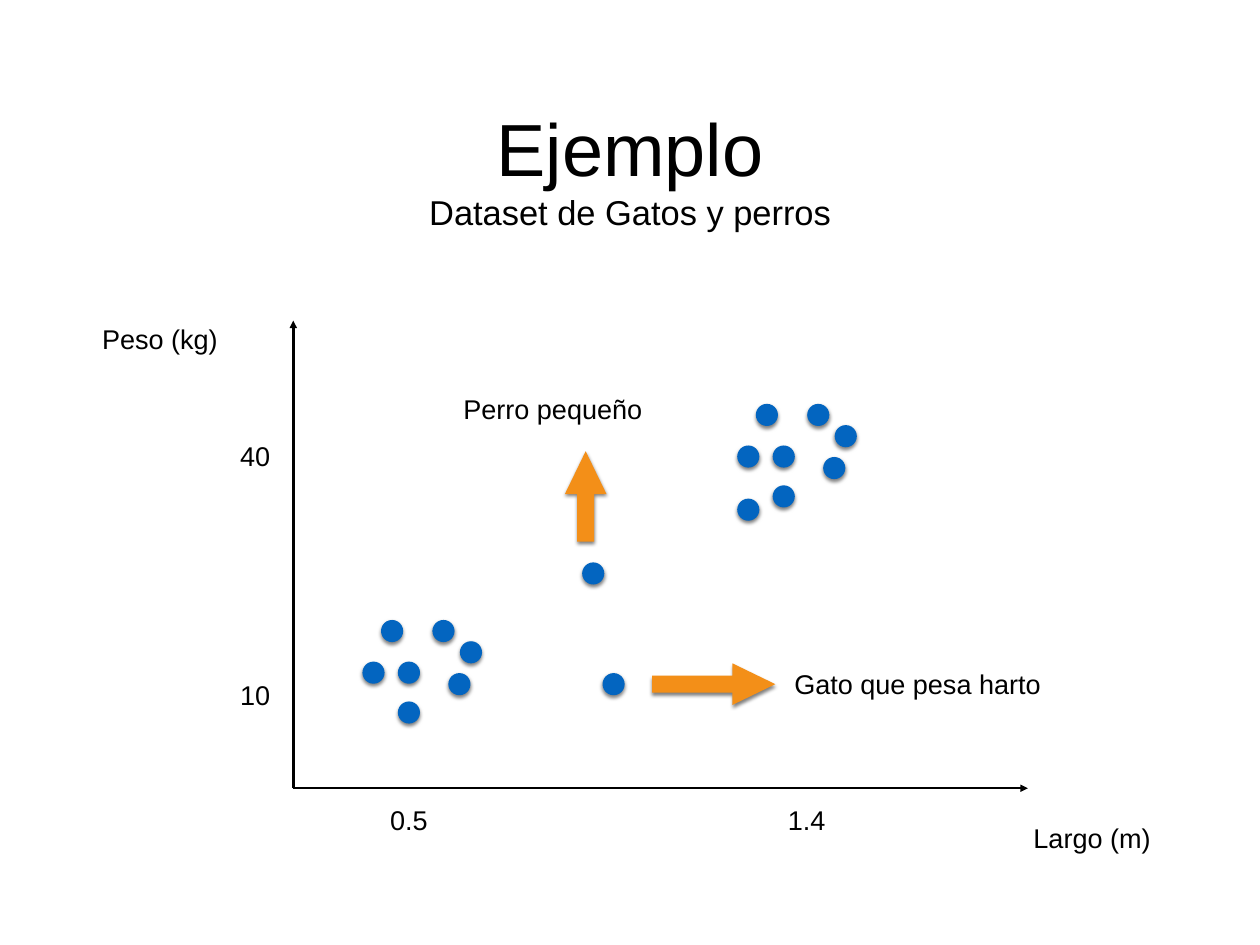
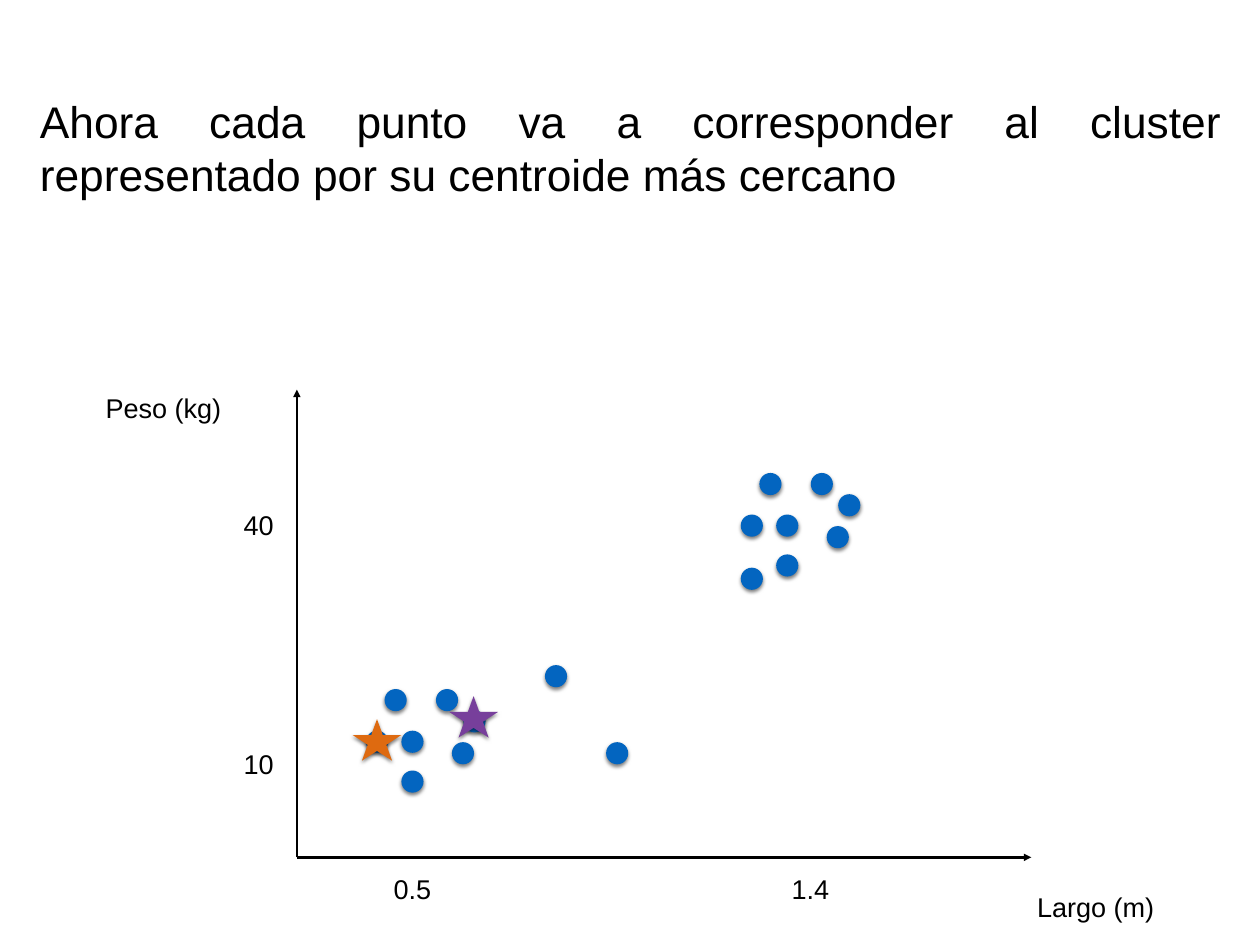
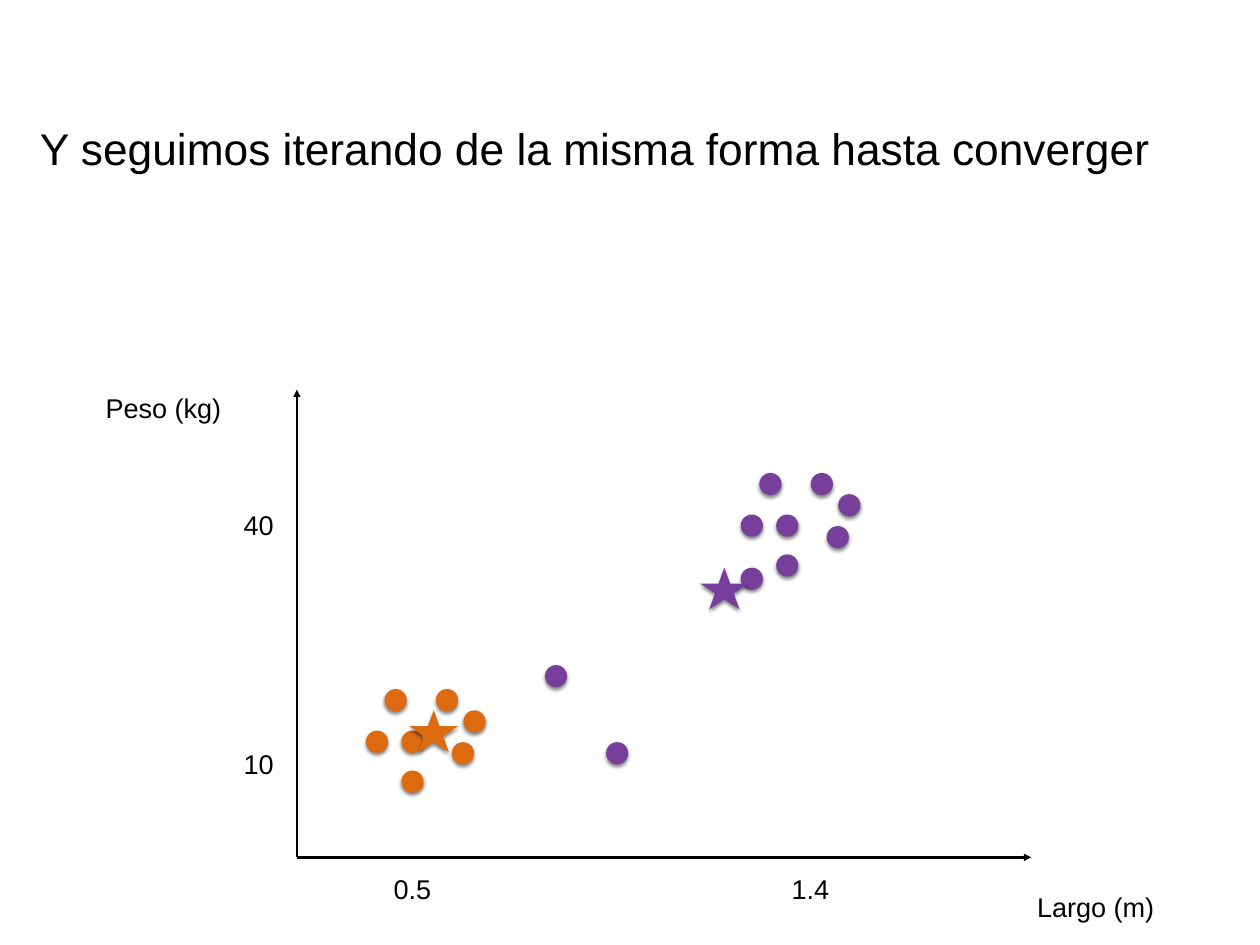
from lxml.etree import SubElement
from pptx import Presentation
from pptx.dml.color import RGBColor
from pptx.enum.shapes import MSO_CONNECTOR, MSO_SHAPE
from pptx.enum.text import MSO_ANCHOR, MSO_AUTO_SIZE, PP_ALIGN
from pptx.oxml.ns import qn
from pptx.util import Inches, Pt

COLORS = {
    "ink": "000000",
    "paper": "FFFFFF",
    "blue": "0365C0",
    "amber": "F38F18",
    "orange": "DE6A10",
    "purple": "773F9B",
}
FONT = "Arial"
DOT = 0.25
LABEL_HEIGHT = 0.47

# Plot positions are measured from the origin of the axes
AXIS_TIPS = [(0, -5.28), (8.29, 0)]
AXIS_LABELS = [
    ("Peso (kg)", -2.22, -5.31, 1.43),
    ("Largo (m)", 8.28, 0.32, 1.47),
    ("10", -0.66, -1.29, 0.46),
    ("40", -0.66, -3.99, 0.46),
    ("0.5", 1.03, 0.12, 0.55),
    ("1.4", 5.52, 0.12, 0.55),
]
CATS = [(0.78, -1.43), (1.18, -0.98), (1.18, -1.43), (0.99, -1.9),
        (1.75, -1.3), (1.57, -1.9), (1.88, -1.66)]
# The dogs repeat the cats' pattern, with one more dot
DOGS = [(x + 4.23, y - 2.44) for x, y in CATS] + [(5.01, -3.27)]
HEAVY_CAT = (3.49, -1.3)


class Deck:
    """Holds the style and the slide being drawn."""

    def __init__(self):
        self.deck = Presentation()
        self.deck.slide_width = Inches(14.22)
        self.deck.slide_height = Inches(10.67)
        self.slide = None

    def color(self, name):
        return RGBColor.from_string(COLORS[name])

    def new_slide(self):
        self.slide = self.deck.slides.add_slide(self.deck.slide_layouts[6])
        fill = self.slide.background.fill
        fill.solid()
        fill.fore_color.rgb = self.color("paper")

    def text(self, words, left, top, width, height=LABEL_HEIGHT, size=22,
             align=PP_ALIGN.CENTER, wrap=False):
        box = self.slide.shapes.add_textbox(
            Inches(left), Inches(top), Inches(width), Inches(height))
        frame = box.text_frame
        frame.word_wrap = wrap
        frame.auto_size = MSO_AUTO_SIZE.SHAPE_TO_FIT_TEXT
        frame.vertical_anchor = MSO_ANCHOR.MIDDLE
        frame.margin_left = frame.margin_right = Inches(0.06)
        frame.margin_top = frame.margin_bottom = Inches(0.06)
        para = frame.paragraphs[0]
        para.alignment = align
        span = para.add_run()
        span.text = words
        span.font.name = FONT
        span.font.size = Pt(size)
        span.font.color.rgb = self.color("ink")

    def heading(self, words, top, height, size):
        self.text(words, 2.49, top, 9.24, height, size, wrap=True)

    def statement(self, words, top, height):
        self.text(words, 0.39, top, 13.45, height, 36, PP_ALIGN.JUSTIFY, True)

    def shape(self, kind, color, left, top, width, height):
        shape = self.slide.shapes.add_shape(
            kind, Inches(left), Inches(top), Inches(width), Inches(height))
        shape.fill.solid()
        shape.fill.fore_color.rgb = self.color(color)
        shape.line.fill.background()
        self.soft_shadow(shape)
        return shape

    def soft_shadow(self, shape):
        shape.shadow.inherit = False
        effects = shape.element.spPr.find(qn("a:effectLst"))
        shadow = SubElement(effects, qn("a:outerShdw"), blurRad=str(Pt(3)),
                            dist=str(Pt(2)), dir="5400000", rotWithShape="0")
        tint = SubElement(shadow, qn("a:srgbClr"), val=COLORS["ink"])
        SubElement(tint, qn("a:alpha"), val="50000")

    def block_arrow(self, left, top, width, rotation=0):
        arrow = self.shape(MSO_SHAPE.RIGHT_ARROW, "amber",
                           left, top, width, LABEL_HEIGHT)
        arrow.adjustments[0] = 0.41
        arrow.adjustments[1] = 1.03
        arrow.rotation = rotation

    def star(self, color, left, top):
        self.shape(MSO_SHAPE.STAR_5_POINT, color, left, top, 0.55, 0.47)

    def axis(self, start, end):
        axis = self.slide.shapes.add_connector(
            MSO_CONNECTOR.STRAIGHT, *(Inches(value) for value in start + end))
        axis.line.color.rgb = self.color("ink")
        axis.line.width = Pt(2)
        outline = axis.element.spPr.find(qn("a:ln"))
        SubElement(outline, qn("a:tailEnd"), type="triangle")
        SubElement(axis.element.spPr, qn("a:effectLst"))

    def axes(self, origin):
        x, y = origin
        for dx, dy in AXIS_TIPS:
            self.axis(origin, (x + dx, y + dy))
        for words, dx, dy, width in AXIS_LABELS:
            self.text(words, x + dx, y + dy, width)

    def dots(self, origin, points, color):
        for dx, dy in points:
            self.shape(MSO_SHAPE.OVAL, color,
                       origin[0] + dx, origin[1] + dy, DOT, DOT)

    def plot(self, origin, small_dog, cat_color, dog_color):
        self.axes(origin)
        self.dots(origin, CATS, cat_color)
        self.dots(origin, [HEAVY_CAT, small_dog] + DOGS, dog_color)


def main():
    page = Deck()

    # Example data with its two outliers
    page.new_slide()
    page.heading("Ejemplo", 1.11, 1.11, 60)
    page.heading("Dataset de Gatos y perros", 2.1, 0.58, 28)
    page.plot((3.31, 8.9), (3.26, -2.55), "blue", "blue")
    page.block_arrow(7.36, 7.49, 1.39)
    page.text("Gato que pesa harto", 8.88, 7.49, 2.95)
    page.block_arrow(6.1, 5.37, 1.02, 270)
    page.text("Perro pequeño", 5.16, 4.38, 2.16)

    # First centroids, then the converged clusters
    steps = [
        ("Ahora cada punto va a corresponder al cluster representado "
         "por su centroide más cercano", 1.01, 1.31, "blue", "blue",
         (3.98, 8.12), (5.07, 7.86)),
        ("Y seguimos iterando de la misma forma hasta converger",
         1.31, 0.72, "orange", "purple", (4.62, 8.02), (7.9, 6.41)),
    ]
    for words, top, height, cat_color, dog_color, orange, purple in steps:
        page.new_slide()
        page.plot((3.35, 9.68), (2.8, -2.17), cat_color, dog_color)
        page.statement(words, top, height)
        page.star("orange", *orange)
        page.star("purple", *purple)

    page.deck.save("out.pptx")


if __name__ == "__main__":
    main()
